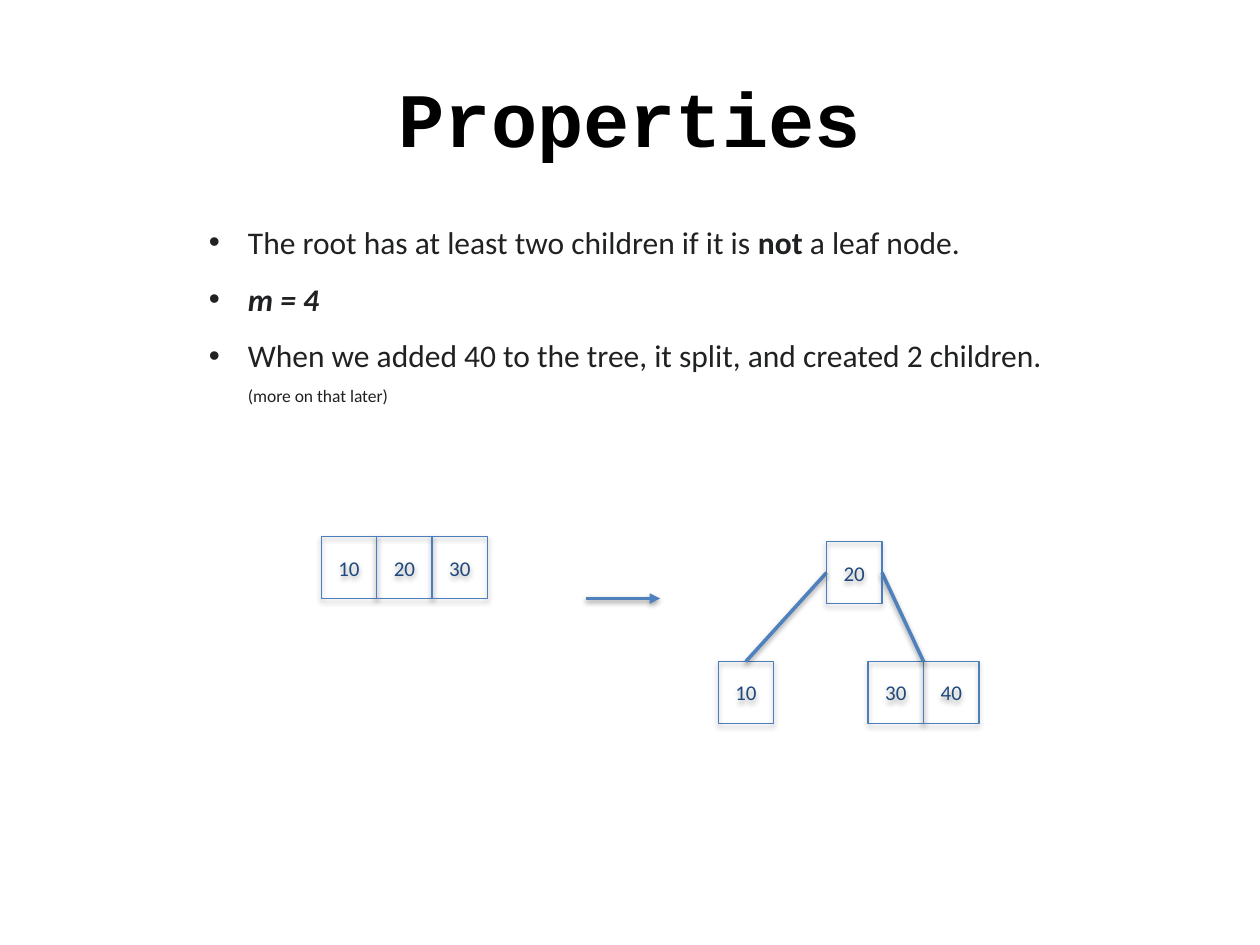
from lxml import etree
from pptx import Presentation
from pptx.dml.color import RGBColor
from pptx.enum.shapes import MSO_CONNECTOR, MSO_SHAPE
from pptx.enum.text import MSO_ANCHOR, PP_ALIGN
from pptx.oxml.ns import qn
from pptx.util import Inches, Pt

RECT = MSO_SHAPE.RECTANGLE
STRAIGHT = MSO_CONNECTOR.STRAIGHT
MIDDLE = MSO_ANCHOR.MIDDLE
CENTER = PP_ALIGN.CENTER

COLORS = {"title": "000000", "body": "202122", "key": "1F497D",
          "edge": "4B7EBC", "link": "4F81BD", "shade": "000000"}
CELL_W, CELL_H = 0.44, 0.49
INDENT = 0.31

BULLETS = [
    [("The root has at least two children if it is ", False, False),
     ("not", True, False), (" a leaf node.", False, False)],
    [("m = 4", True, True)],
    [("When we added 40 to the tree, it split, and created 2 children.", False, False)],
]


def color(name):
    """Return the named colour."""
    return RGBColor.from_string(COLORS[name])


def add_run(para, text, size, hue, font="Calibri", bold=False, italic=False):
    """Add one styled run to a paragraph."""
    run = para.add_run()
    run.text = text
    run.font.name = font
    run.font.size = Pt(size)
    run.font.bold = bold
    run.font.italic = italic
    run.font.color.rgb = color(hue)


def add_shade(props, alpha, drop):
    """Give shape properties a soft shadow that falls straight down."""
    effects = props.find(qn("a:effectLst"))
    if effects is None:
        effects = etree.SubElement(props, qn("a:effectLst"))
    shade = etree.SubElement(effects, qn("a:outerShdw"), blurRad=str(Pt(3.1)),
                             dist=str(Pt(drop)), dir="5400000", rotWithShape="0")
    tone = etree.SubElement(shade, qn("a:srgbClr"), val=COLORS["shade"])
    etree.SubElement(tone, qn("a:alpha"), val=str(alpha * 1000))


def add_box(slide, left, top, width, height):
    """Add a wrapping text box and return its frame."""
    box = slide.shapes.add_textbox(Inches(left), Inches(top), Inches(width), Inches(height))
    box.text_frame.word_wrap = True
    return box.text_frame


def add_title(slide, left, top, width, height):
    """Place the centred heading."""
    frame = add_box(slide, left, top, width, height)
    frame.vertical_anchor = MIDDLE
    para = frame.paragraphs[0]
    para.alignment = CENTER
    add_run(para, "Properties", 44, "title", "Courier New", bold=True)


def add_line(frame, first, bullet):
    """Start an indented body paragraph, with or without a bullet."""
    para = frame.paragraphs[0] if first else frame.add_paragraph()
    para.line_spacing = 1.5
    props = para._p.get_or_add_pPr()
    props.set("marL", str(Inches(INDENT)))
    props.set("indent", str(-Inches(INDENT) if bullet else 0))
    if bullet:
        etree.SubElement(props, qn("a:buFont"), typeface="Arial")
        etree.SubElement(props, qn("a:buChar"), char="•")
    return para


def add_body(slide, left, top, width, height):
    """Place the bullet list and its small remark."""
    frame = add_box(slide, left, top, width, height)
    for i, runs in enumerate(BULLETS):
        para = add_line(frame, i == 0, True)
        for text, bold, italic in runs:
            add_run(para, text, 18, "body", bold=bold, italic=italic)
    add_run(add_line(frame, False, False), "(more on that later)", 10, "body")


def add_node(slide, left, top, keys):
    """Place a tree node as a row of key cells."""
    for i, key in enumerate(keys):
        cell = slide.shapes.add_shape(RECT, Inches(left + i * CELL_W), Inches(top),
                                      Inches(CELL_W), Inches(CELL_H))
        cell.fill.background()
        cell.line.color.rgb = color("edge")
        cell.line.width = Pt(0.75)
        cell.shadow.inherit = False
        add_shade(cell._element.spPr, 35, 1.8)
        cell.text_frame.vertical_anchor = MIDDLE
        para = cell.text_frame.paragraphs[0]
        para.alignment = CENTER
        add_run(para, str(key), 12, "key")


def add_link(slide, x1, y1, x2, y2, arrow=False):
    """Draw a shaded line, with an arrowhead if asked."""
    link = slide.shapes.add_connector(STRAIGHT, Inches(x1), Inches(y1), Inches(x2), Inches(y2))
    link.line.color.rgb = color("link")
    link.line.width = Pt(2)
    if arrow:
        etree.SubElement(link.line._get_or_add_ln(), qn("a:tailEnd"), type="triangle")
    add_shade(link._element.spPr, 38, 1.6)


def add_tree(slide, left, top):
    """Place the split tree: a root with two children."""
    root, right, low = left + 0.86, left + 1.19, top + 0.95
    mid = top + CELL_H / 2
    add_node(slide, left, low, [10])
    add_node(slide, right, low, [30, 40])
    add_link(slide, root, mid, left + CELL_W / 2, low)
    add_link(slide, root + CELL_W, mid, right + CELL_W, low)
    add_node(slide, root, top, [20])


def main():
    """Build and save the slide."""
    deck = Presentation()
    deck.slide_width, deck.slide_height = Inches(10), Inches(7.5)
    slide = deck.slides.add_slide(deck.slide_layouts[6])
    add_title(slide, 0.5, 0.3, 9, 1.25)
    add_body(slide, 1.56, 1.57, 6.87, 2.02)
    add_node(slide, 2.55, 4.26, [10, 20, 30])
    add_link(slide, 4.65, 4.75, 5.24, 4.75, arrow=True)
    add_tree(slide, 5.7, 4.3)
    deck.save("out.pptx")


if __name__ == "__main__":
    main()
